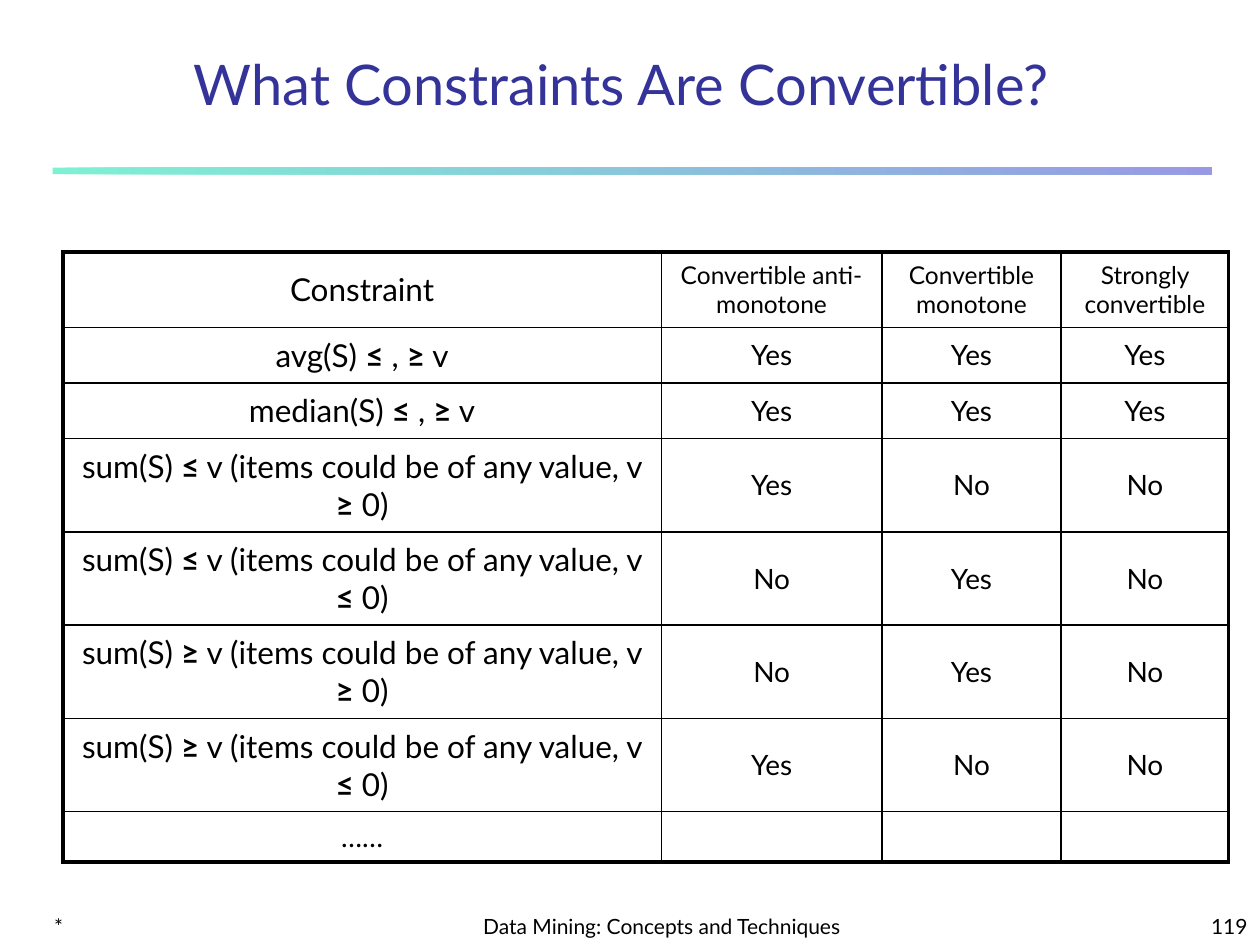
"""Build the slide on convertible constraints in frequent pattern mining."""
from dataclasses import dataclass
from itertools import groupby

from lxml.etree import SubElement
from pptx import Presentation
from pptx.dml.color import RGBColor as Color
from pptx.enum.shapes import MSO_SHAPE as Shape
from pptx.enum.text import MSO_ANCHOR as Anchor, MSO_AUTO_SIZE as AutoSize, PP_ALIGN as Align
from pptx.oxml.ns import qn
from pptx.util import Cm, Pt

TITLE = "What Constraints Are Convertible?"
HEADER = ["Constraint", "Convertible anti-monotone", "Convertible monotone", "Strongly convertible"]
ROWS = [
    ["avg(S) ≤ , ≥ v", "Yes", "Yes", "Yes"],
    ["median(S) ≤ , ≥ v", "Yes", "Yes", "Yes"],
    ["sum(S) ≤ v (items could be of any value, v ≥ 0)", "Yes", "No", "No"],
    ["sum(S) ≤ v (items could be of any value, v ≤ 0)", "No", "Yes", "No"],
    ["sum(S) ≥ v (items could be of any value, v ≥ 0)", "No", "Yes", "No"],
    ["sum(S) ≥ v (items could be of any value, v ≤ 0)", "Yes", "No", "No"],
    ["……", "", "", ""],
]
FOOTERS = [
    ("*", 0.84, 5.28, Align.LEFT),
    ("Data Mining: Concepts and Techniques", 9.32, 8.05, Align.CENTER),
    ("119", 20.12, 5.28, Align.RIGHT),
]
COLUMN_WIDTHS = [12.06, 4.45, 3.61, 3.38]
ROW_HEIGHTS = [1.52] + [1.12] * 2 + [1.88] * 4 + [0.94]


@dataclass(frozen=True)
class Theme:
    font: str = "Lato"
    ink: str = "000000"
    title_ink: str = "333399"
    rule_start: str = "00E4A8"
    rule_end: str = "3333CC"
    title: int = 32
    constraint: int = 18
    answer: int = 16
    heading: int = 14
    footer: int = 12
    frame: float = 2.25
    grid: float = 1


THEME = Theme()


def write(frame, text, size, color=THEME.ink, align=Align.CENTER):
    para = frame.paragraphs[0]
    para.alignment = align
    for is_sign, letters in groupby(text, lambda letter: letter in "≤≥"):
        span = para.add_run()
        span.text = "".join(letters)
        span.font.name = THEME.font
        span.font.size = Pt(size)
        span.font.bold = is_sign
        span.font.color.rgb = Color.from_string(color)


def add_rule(slide):
    rule = slide.shapes.add_shape(Shape.RECTANGLE, Cm(1.06), Cm(3.38), Cm(23.37), Cm(0.13))
    rule.shadow.inherit = False
    rule.line.fill.background()
    rule.fill.gradient()
    rule.fill.gradient_angle = 0
    for stop, color in zip(rule.fill.gradient_stops, (THEME.rule_start, THEME.rule_end)):
        stop.color.rgb = Color.from_string(color)
    for color in rule._element.spPr.iter(qn("a:srgbClr")):
        SubElement(color, qn("a:alpha"), val="50000")


def add_footer(slide, text, left, width, align):
    box = slide.shapes.add_textbox(Cm(left), Cm(17.98), Cm(width), Cm(1.07))
    box.text_frame.word_wrap = True
    box.text_frame.vertical_anchor = Anchor.BOTTOM
    write(box.text_frame, text, THEME.footer, align=align)


def set_borders(cell, outer_sides):
    properties = cell._tc.get_or_add_tcPr()
    for side in "LRTB":
        width = THEME.frame if side in outer_sides else THEME.grid
        line = SubElement(properties, qn(f"a:ln{side}"), w=str(Pt(width)))
        SubElement(SubElement(line, qn("a:solidFill")), qn("a:srgbClr"), val=THEME.ink)


def cell_size(row, column):
    if row == len(ROWS):
        return THEME.answer
    if column == 0:
        return THEME.constraint
    return THEME.heading if row == 0 else THEME.answer


def add_constraint_table(slide):
    content = [HEADER, *ROWS]
    last_row, last_column = len(content) - 1, len(HEADER) - 1
    table = slide.shapes.add_table(len(content), len(HEADER), Cm(1.27), Cm(5.08),
                                   Cm(sum(COLUMN_WIDTHS)), Cm(sum(ROW_HEIGHTS))).table
    table.first_row = table.horz_banding = False
    for column, width in zip(table.columns, COLUMN_WIDTHS):
        column.width = Cm(width)
    for r, (texts, height) in enumerate(zip(content, ROW_HEIGHTS)):
        table.rows[r].height = Cm(height)
        for c, text in enumerate(texts):
            cell = table.cell(r, c)
            edges = {"L": c == 0, "R": c == last_column, "T": r == 0, "B": r == last_row}
            set_borders(cell, [side for side, is_outer in edges.items() if is_outer])
            cell.fill.background()
            cell.vertical_anchor = Anchor.MIDDLE
            write(cell.text_frame, text, cell_size(r, c))


def main():
    deck = Presentation()
    deck.slide_width, deck.slide_height = Cm(25.4), Cm(19.05)
    slide = deck.slides.add_slide(deck.slide_layouts[5])
    add_rule(slide)
    for footer in FOOTERS:
        add_footer(slide, *footer)
    title = slide.shapes.title
    title.left, title.top, title.width, title.height = Cm(2.34), Cm(0.84), Cm(20.37), Cm(1.65)
    title.text_frame.auto_size = AutoSize.NONE
    title.text_frame.vertical_anchor = Anchor.BOTTOM
    write(title.text_frame, TITLE, THEME.title, color=THEME.title_ink)
    add_constraint_table(slide)
    deck.save("out.pptx")


if __name__ == "__main__":
    main()
